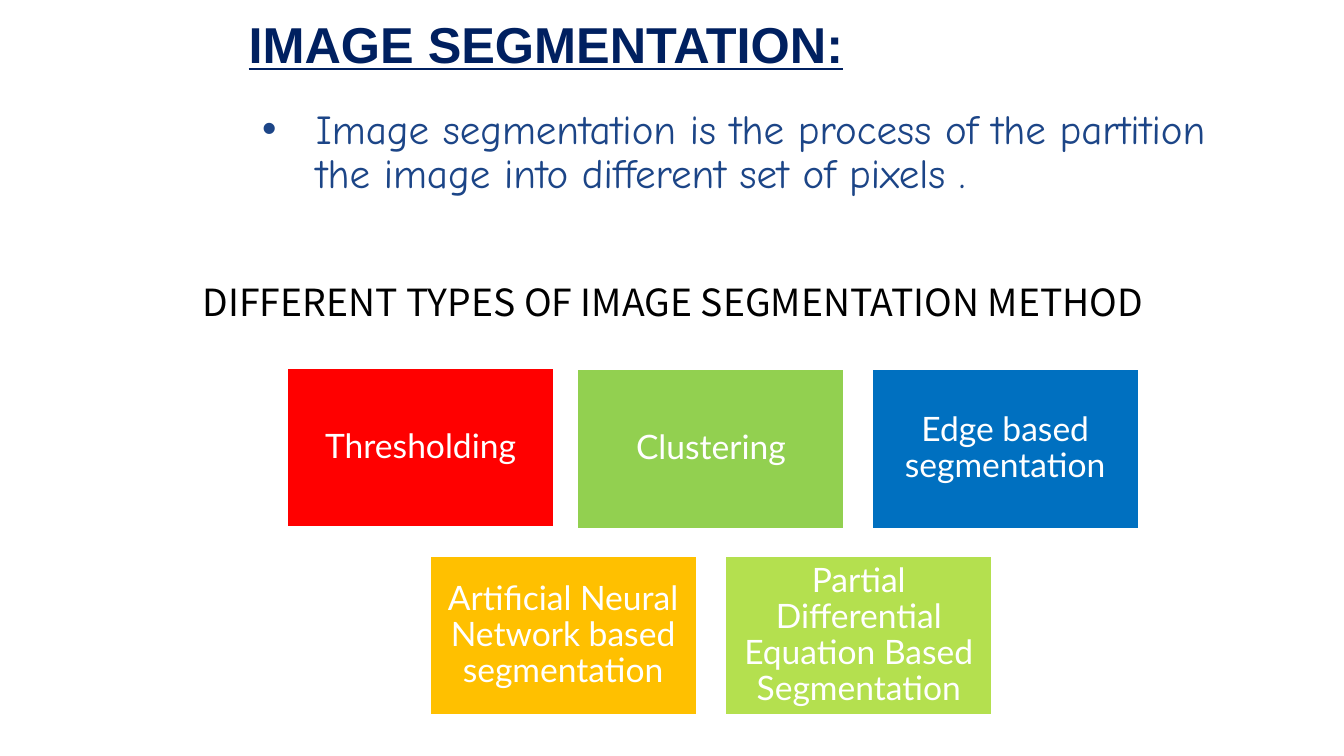
from lxml.etree import SubElement
from pptx import Presentation
from pptx.dml.color import RGBColor
from pptx.enum.shapes import MSO_SHAPE
from pptx.enum.text import MSO_ANCHOR, MSO_AUTO_SIZE, PP_ALIGN
from pptx.oxml.ns import qn
from pptx.util import Inches, Pt

NAVY = RGBColor(0x00, 0x20, 0x60)
BLUE = RGBColor(0x1C, 0x45, 0x87)
BLACK = RGBColor(0x00, 0x00, 0x00)
WHITE = RGBColor(0xFF, 0xFF, 0xFF)
RED = RGBColor(0xFF, 0x00, 0x00)
GREEN = RGBColor(0x92, 0xD0, 0x50)
AZURE = RGBColor(0x00, 0x70, 0xC0)
AMBER = RGBColor(0xFF, 0xC0, 0x00)
LIME = RGBColor(0xB4, 0xE0, 0x4F)


def set_frame(shape, inset, anchor):
    """Set equal insets, wrapping and the anchor; return the first paragraph."""
    frame = shape.text_frame
    frame.auto_size = MSO_AUTO_SIZE.NONE
    frame.word_wrap = True
    frame.vertical_anchor = anchor
    frame.margin_left = frame.margin_right = Inches(inset)
    frame.margin_top = frame.margin_bottom = Inches(inset)
    return frame.paragraphs[0]


def add_run(para, text, face, size, color):
    run = para.add_run()
    run.text = text
    run.font.name = face
    run.font.size = Pt(size)
    run.font.color.rgb = color
    return run


deck = Presentation()
deck.slide_width = Inches(10)
deck.slide_height = Inches(10 * 9 / 16)
slide = deck.slides.add_slide(deck.slide_layouts[1])

# Title
title = slide.shapes.title
title.left, title.top = Inches(1.85), Inches(-0.14)
title.width, title.height = Inches(8.62), Inches(0.69)
para = set_frame(title, 0, MSO_ANCHOR.BOTTOM)
para.alignment = PP_ALIGN.LEFT
run = add_run(para, "IMAGE SEGMENTATION:", "Arial", 27, NAVY)
run.font.bold = True
run.font.underline = True

# Definition
body = slide.placeholders[1]
body.left, body.top = Inches(1.85), Inches(0.81)
body.width, body.height = Inches(7.46), Inches(0.69)
para = set_frame(body, 0, MSO_ANCHOR.TOP)
para.line_spacing = 0.9
para.space_before = Pt(0)
props = para._p.get_or_add_pPr()
props.set("marL", str(Inches(0.5)))
props.set("indent", str(Inches(-0.4)))
tint = SubElement(props, qn("a:buClr"))
SubElement(tint, qn("a:srgbClr")).set("val", str(BLUE))
SubElement(props, qn("a:buFont")).set("typeface", "Arial")
SubElement(props, qn("a:buChar")).set("char", "•")
add_run(para, "Image segmentation is the process of the partition "
        "the image into different set of pixels .", "Comic Neue", 22, BLUE)

# Methods: left, top, fill, label
methods = [
    (2.13, 2.73, RED, "Thresholding"),
    (4.29, 2.74, GREEN, "Clustering"),
    (6.48, 2.74, AZURE, "Edge based segmentation"),
    (3.19, 4.13, AMBER, "Artificial Neural Network based segmentation"),
    (5.39, 4.13, LIME, "Partial Differential Equation Based Segmentation"),
]
for left, top, fill, label in methods:
    box = slide.shapes.add_shape(MSO_SHAPE.RECTANGLE, Inches(left), Inches(top),
                                 Inches(2), Inches(1.2))
    box.shadow.inherit = False
    box.fill.solid()
    box.fill.fore_color.rgb = fill
    box.line.color.rgb = WHITE
    box.line.width = Pt(2)
    para = set_frame(box, 0.07, MSO_ANCHOR.MIDDLE)
    para.alignment = PP_ALIGN.CENTER
    para.line_spacing = 0.9
    add_run(para, label, "Lato", 18, WHITE)

# Heading of the methods
head = slide.shapes.add_textbox(Inches(1.41), Inches(2.03), Inches(8.2), Inches(0.44))
head.text_frame.word_wrap = True
head.text_frame.auto_size = MSO_AUTO_SIZE.SHAPE_TO_FIT_TEXT
add_run(head.text_frame.paragraphs[0], "DIFFERENT TYPES OF IMAGE SEGMENTATION METHOD",
        "Noto Sans CJK SC", 20, BLACK)

deck.save("out.pptx")
